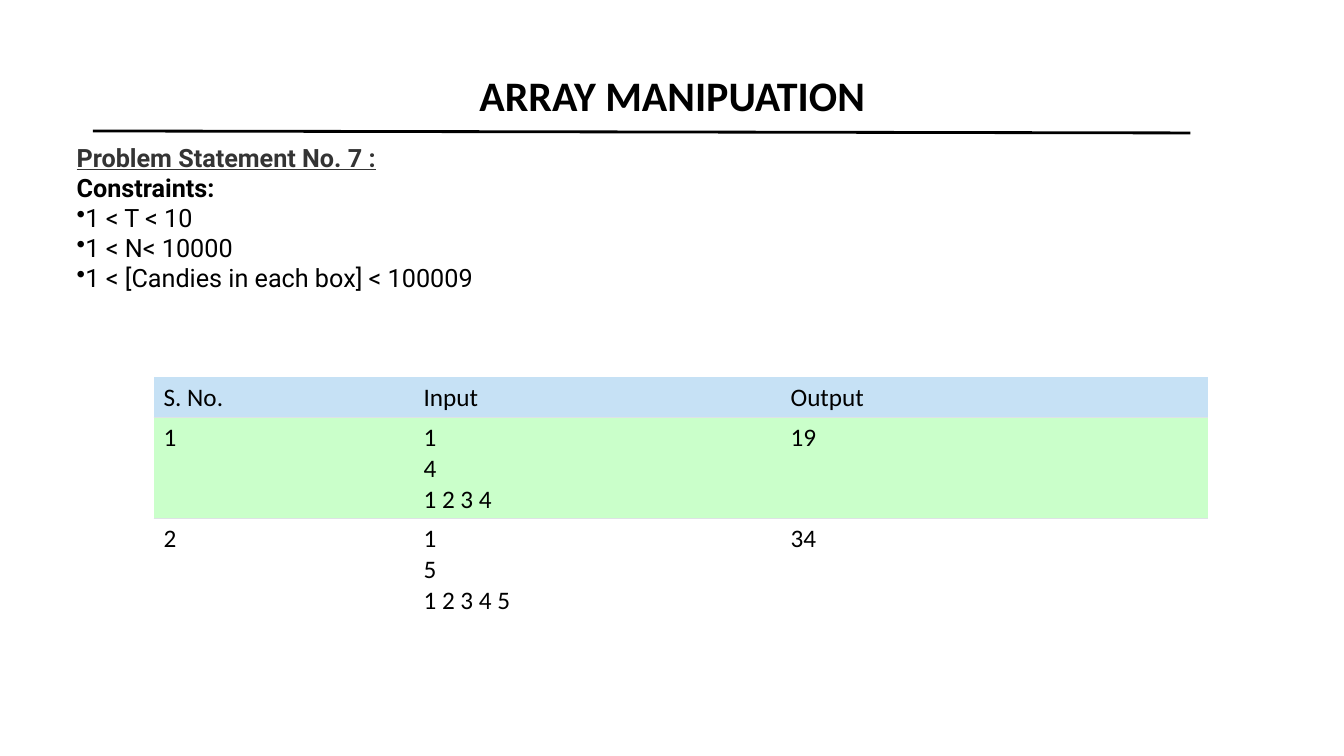
from lxml.etree import SubElement
from pptx import Presentation
from pptx.dml.color import RGBColor
from pptx.enum.shapes import MSO_CONNECTOR
from pptx.enum.text import MSO_ANCHOR, MSO_AUTO_SIZE, PP_ALIGN
from pptx.oxml import parse_xml
from pptx.oxml.ns import nsdecls, qn
from pptx.util import Cm, Pt

BLACK = RGBColor(0x00, 0x00, 0x00)
CHARCOAL = RGBColor(0x34, 0x34, 0x34)
WHITE = RGBColor(0xFF, 0xFF, 0xFF)
HEADER_BLUE = RGBColor(0xC6, 0xE1, 0xF5)
ROW_GREEN = RGBColor(0xCA, 0xFF, 0xCA)
BORDER_GREY = RGBColor(0xDE, 0xE2, 0xE6)
NO_STYLE = "{2D5ABB26-0587-4C30-8999-92F81FD0307C}"

CONSTRAINTS = ["1 < T < 10", "1 < N< 10000", "1 < [Candies in each box] < 100009"]
SAMPLES = [
    ["S. No.", "Input", "Output"],
    ["1", "1\n4\n1 2 3 4", "19"],
    ["2", "1\n5\n1 2 3 4 5", "34"],
]


class SlideBuilder:
    title_font = table_font = "Calibri"
    body_font = "Roboto"
    title_size = Pt(30)
    body_size = Pt(18)

    def __init__(self, prs):
        self.slide = prs.slides.add_slide(prs.slide_layouts[5])

    def run(self, p, text, font, size, color=BLACK, bold=False, underline=False):
        r = p.add_run()
        r.text = text
        r.font.name = font
        r.font.size = size
        r.font.bold = bold
        r.font.underline = underline
        r.font.color.rgb = color

    def title(self, text, left, top, width, height):
        sp = self.slide.shapes.title
        sp.left, sp.top, sp.width, sp.height = left, top, width, height
        tf = sp.text_frame
        tf.margin_left = tf.margin_right = tf.margin_top = tf.margin_bottom = 0
        tf.vertical_anchor = MSO_ANCHOR.MIDDLE
        tf.auto_size = MSO_AUTO_SIZE.NONE
        p = tf.paragraphs[0]
        p.alignment = PP_ALIGN.CENTER
        p.line_spacing = 0.9
        self.run(p, text, self.title_font, self.title_size, bold=True)

    def rule(self, x1, y1, x2, y2):
        line = self.slide.shapes.add_connector(MSO_CONNECTOR.STRAIGHT, x1, y1, x2, y2)
        line.line.color.rgb = BLACK
        line.line.width = Pt(2)
        SubElement(line.element.spPr, qn("a:effectLst"))

    def problem(self, heading, subheading, bullets, left, top, width, height):
        tf = self.slide.shapes.add_textbox(left, top, width, height).text_frame
        tf.word_wrap = True
        tf.auto_size = MSO_AUTO_SIZE.SHAPE_TO_FIT_TEXT
        self.run(tf.paragraphs[0], heading, self.body_font, self.body_size,
                 CHARCOAL, bold=True, underline=True)
        self.run(tf.add_paragraph(), subheading, self.body_font, self.body_size, bold=True)
        for text in bullets:
            p = tf.add_paragraph()
            SubElement(p._p.get_or_add_pPr(), qn("a:buChar"), char="•")
            self.run(p, text, self.body_font, self.body_size)

    def table(self, rows, fills, left, top, widths, heights):
        frame = self.slide.shapes.add_table(
            len(rows), len(widths), left, top, sum(widths), sum(heights))
        table = frame.table
        table.first_row = table.horz_banding = False
        for style in frame.element.iter(qn("a:tableStyleId")):
            style.text = NO_STYLE
        for column, width in zip(table.columns, widths):
            column.width = width
        for i, (row, height) in enumerate(zip(table.rows, heights)):
            row.height = height
            for cell, text in zip(row.cells, rows[i]):
                cell.fill.solid()
                cell.fill.fore_color.rgb = fills[i]
                cell.vertical_anchor = MSO_ANCHOR.TOP if i else MSO_ANCHOR.BOTTOM
                if i < len(rows) - 1:
                    self.bottom_border(cell)
                p = cell.text_frame.paragraphs[0]
                for n, line in enumerate(text.split("\n")):
                    if n:
                        p.add_line_break()
                    self.run(p, line, self.table_font, self.body_size)

    def bottom_border(self, cell):
        border = parse_xml(
            f'<a:lnB {nsdecls("a")} w="{Pt(0.75)}"><a:solidFill>'
            f'<a:srgbClr val="{BORDER_GREY}"/></a:solidFill></a:lnB>')
        cell._tc.get_or_add_tcPr().insert(0, border)


def main():
    prs = Presentation()
    prs.slide_width, prs.slide_height = Cm(33.87), Cm(19.05)
    s = SlideBuilder(prs)
    s.title("ARRAY MANIPUATION", Cm(2.34), Cm(1.6), Cm(29.21), Cm(1.75))
    s.rule(Cm(2.34), Cm(3.3), Cm(30), Cm(3.35))
    s.problem("Problem Statement No. 7 :", "Constraints:", CONSTRAINTS,
              Cm(1.68), Cm(3.45), Cm(30.94), Cm(4.78))
    s.table(SAMPLES, [HEADER_BLUE, ROW_GREEN, WHITE], Cm(3.87), Cm(9.5),
            [Cm(6.55), Cm(9.25), Cm(10.77)], [Cm(1.02), Cm(2.55), Cm(2.55)])
    prs.save("out.pptx")


if __name__ == "__main__":
    main()
